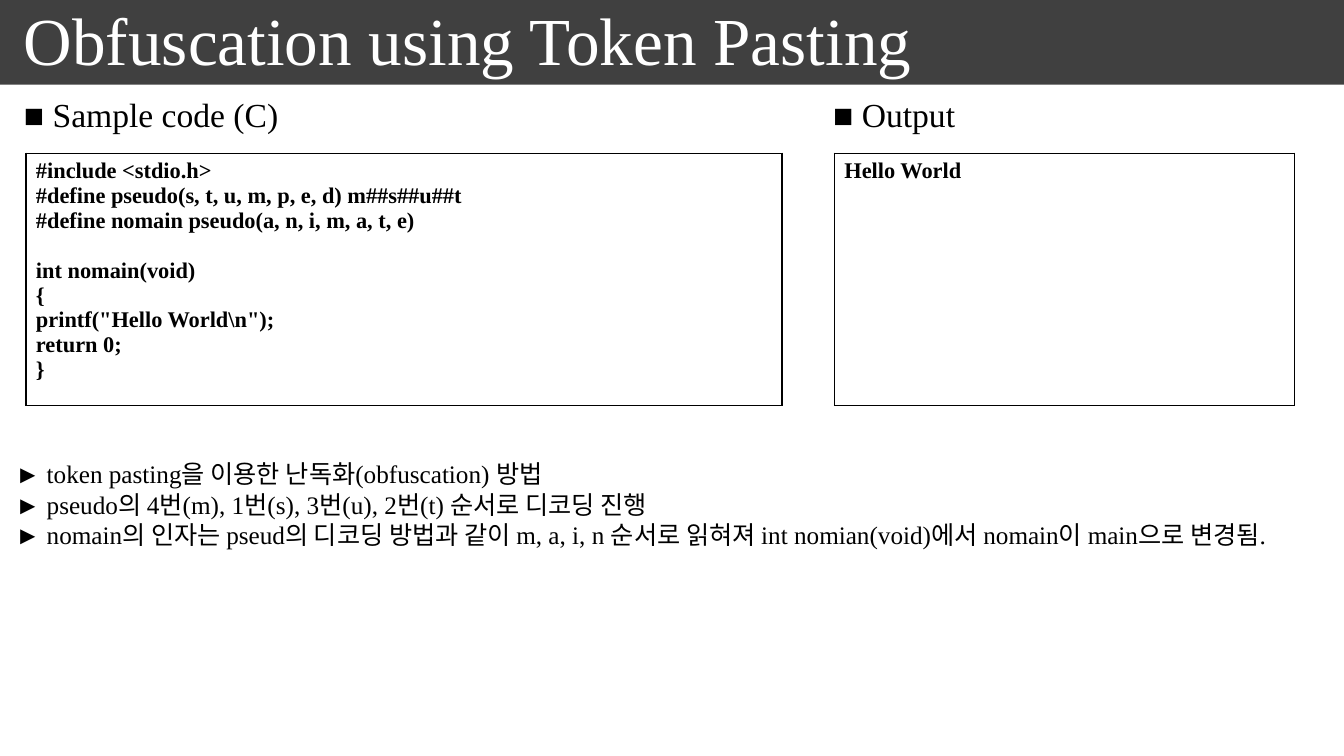
from lxml import etree
from pptx import Presentation
from pptx.dml.color import RGBColor
from pptx.enum import shapes
from pptx.oxml import ns
from pptx.util import Pt

FONT = "Times New Roman"
BLACK, WHITE, GREY = "000000", "FFFFFF", "404040"
PAGE_WIDTH, PAGE_HEIGHT = 960, 540
BANNER_HEIGHT = 60.5
BOX_TOP, BOX_HEIGHT = 109.5, 180
CODE_GAP = 18

# text lines, left, top, width, height, size, colour
LABELS = [
    (["Obfuscation using Token Pasting"], 10, -5, 892, 65.5, 48, WHITE),
    (["■ Sample code (C)"], 10, 63.5, 268, 36, 24, BLACK),
    (["■ Output"], 588, 63.5, 197, 36, 24, BLACK),
    ([
        "► token pasting을 이용한 난독화(obfuscation) 방법",
        "► pseudo의 4번(m), 1번(s), 3번(u), 2번(t) 순서로 디코딩 진행",
        "► nomain의 인자는 pseud의 디코딩 방법과 같이 m, a, i, n 순서로 읽혀져 "
        "int nomian(void)에서 nomain이 main으로 변경됨.",
    ], 4, 324, 955.5, 73, 18, BLACK),
]

# blocks of lines, left, width
LISTINGS = [
    ([
        [
            "#include <stdio.h>",
            "#define pseudo(s, t, u, m, p, e, d) m##s##u##t",
            "#define nomain pseudo(a, n, i, m, a, t, e)",
        ],
        ["int nomain(void)", "{", 'printf("Hello World\\n");', "return 0;", "}"],
    ], 18.5, 540),
    ([["Hello World"]], 596, 328.5),
]


def colour(value):
    return RGBColor.from_string(value)


def write_lines(frame, lines, size, ink, bold=False):
    for index, line in enumerate(lines):
        para = frame.add_paragraph() if index else frame.paragraphs[0]
        para.text = line
        para.font.name, para.font.size, para.font.bold = FONT, Pt(size), bold
        para.font.color.rgb = colour(ink)


def add_label(page, lines, left, top, width, height, size, ink):
    box = page.shapes.add_textbox(Pt(left), Pt(top), Pt(width), Pt(height))
    box.text_frame.word_wrap = True
    write_lines(box.text_frame, lines, size, ink)


def outline_cell(cell):
    properties = cell._tc.get_or_add_tcPr()
    for side in ("a:lnL", "a:lnR", "a:lnT", "a:lnB"):
        line = etree.SubElement(properties, ns.qn(side), w=str(Pt(1)))
        fill = etree.SubElement(line, ns.qn("a:solidFill"))
        etree.SubElement(fill, ns.qn("a:srgbClr"), val=BLACK)


def add_listing(page, blocks, left, width):
    table = page.shapes.add_table(
        1, 1, Pt(left), Pt(BOX_TOP), Pt(width), Pt(BOX_HEIGHT)).table
    table.first_row = table.horz_banding = False
    cell = table.cell(0, 0)
    outline_cell(cell)
    cell.fill.background()
    write_lines(cell.text_frame, sum(blocks, []), 16, BLACK, bold=True)
    start = 0
    for block in blocks[:-1]:
        start += len(block)
        cell.text_frame.paragraphs[start].space_before = Pt(CODE_GAP)


def main():
    deck = Presentation()
    deck.slide_width, deck.slide_height = Pt(PAGE_WIDTH), Pt(PAGE_HEIGHT)
    page = deck.slides.add_slide(deck.slide_layouts[6])

    banner = page.shapes.add_shape(
        shapes.MSO_SHAPE.RECTANGLE, 0, 0, Pt(PAGE_WIDTH), Pt(BANNER_HEIGHT))
    banner.shadow.inherit = False
    banner.fill.solid()
    banner.fill.fore_color.rgb = colour(GREY)
    banner.line.fill.background()

    for label in LABELS:
        add_label(page, *label)
    for listing in LISTINGS:
        add_listing(page, *listing)
    deck.save("out.pptx")


if __name__ == "__main__":
    main()
